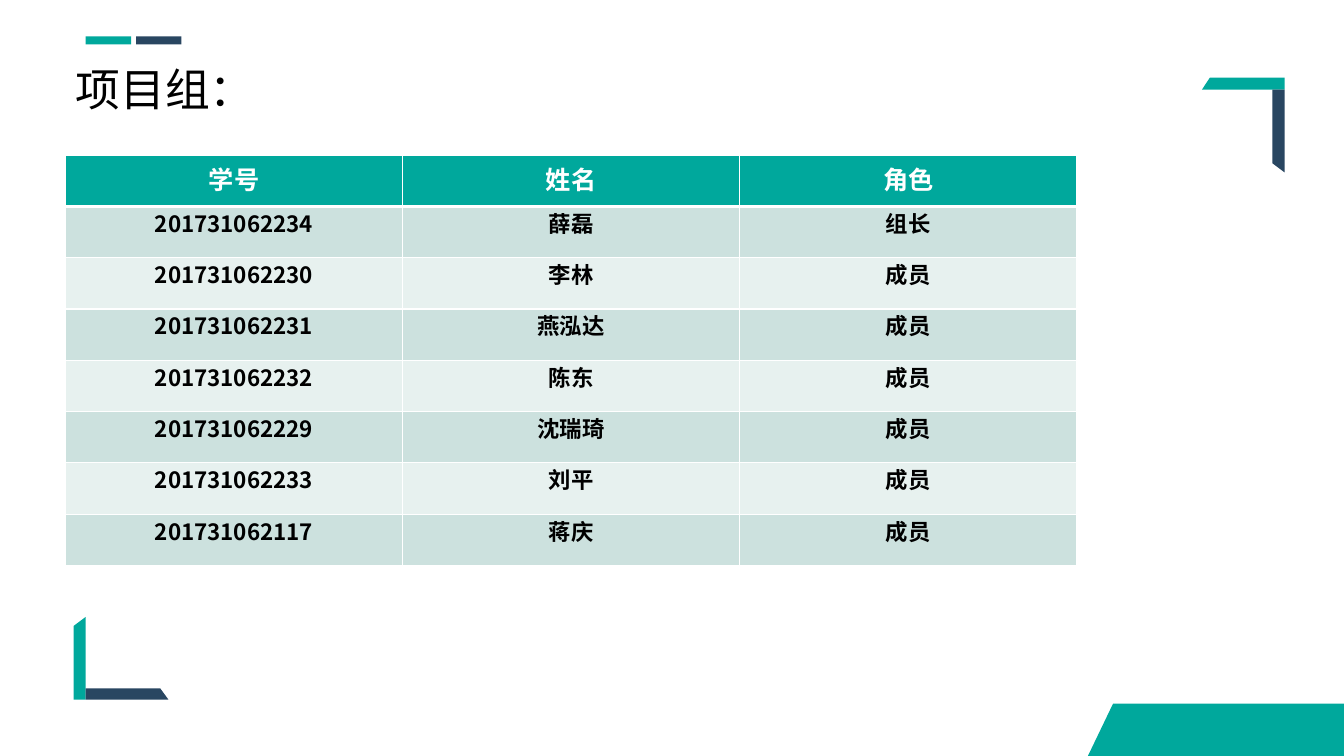
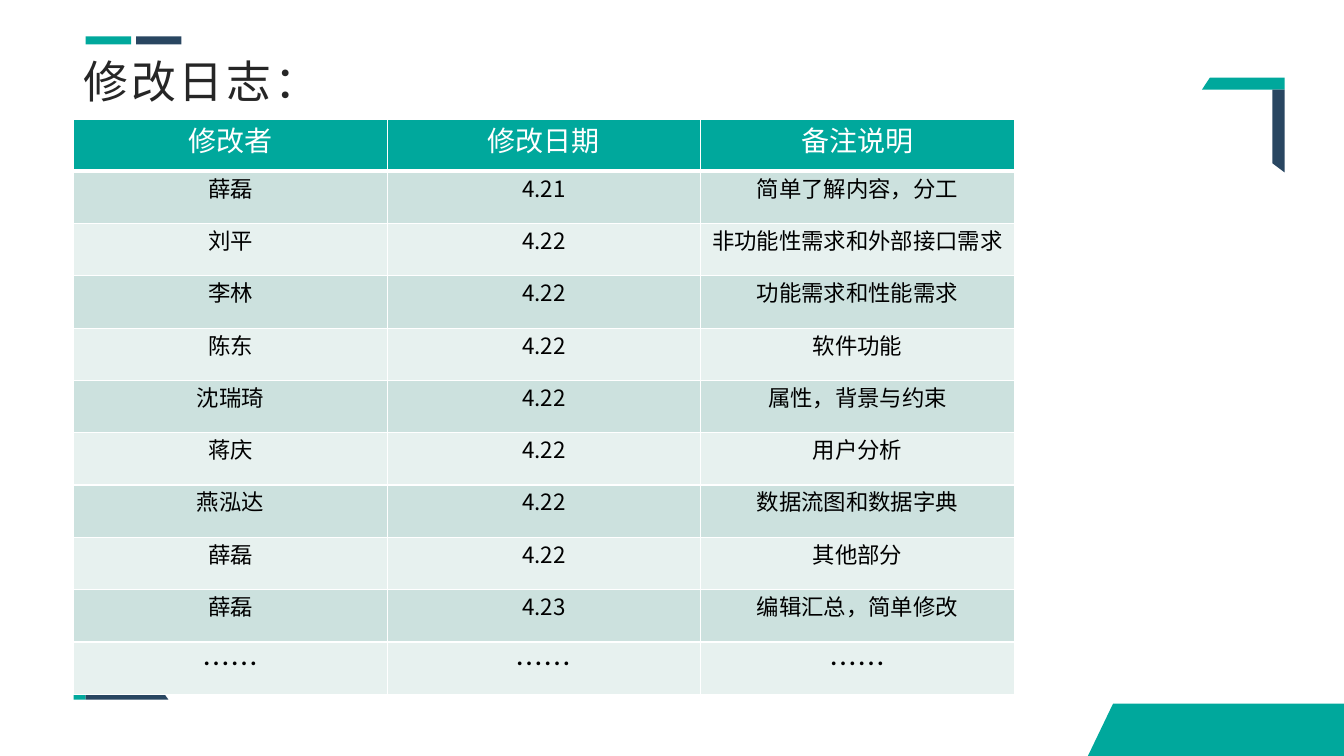
from dataclasses import dataclass

from lxml import etree
from pptx import Presentation
from pptx.dml.color import RGBColor
from pptx.enum.shapes import MSO_SHAPE
from pptx.enum.text import MSO_ANCHOR, PP_ALIGN
from pptx.oxml.ns import qn
from pptx.util import Inches, Pt

RECT = MSO_SHAPE.RECTANGLE
TOP, MIDDLE = MSO_ANCHOR.TOP, MSO_ANCHOR.MIDDLE
LEFT, CENTER = PP_ALIGN.LEFT, PP_ALIGN.CENTER


@dataclass(frozen=True)
class Theme:
    teal: str = "00A89C"
    navy: str = "294661"
    white: str = "FFFFFF"
    black: str = "000000"
    ink: str = "262626"
    bands: tuple[str, str] = ("CCE1DE", "E7F1EF")
    latin: str = "Arial"
    cjk: str = "Noto Sans CJK SC"
    title: int = 32
    body: int = 16
    dots: int = 20
    rule: int = 1
    thick: int = 3


@dataclass(frozen=True)
class Mark:
    color: str
    points: tuple[tuple[float, float], ...]


@dataclass(frozen=True)
class Style:
    size: int
    color: str
    font: str
    bold: bool = False
    gap: int = 0


@dataclass(frozen=True)
class Title:
    text: str
    box: tuple[float, float, float, float]
    color: str
    anchor: MSO_ANCHOR
    gap: int = 0


@dataclass(frozen=True)
class Grid:
    box: tuple[float, float, float, float]
    rows: tuple[tuple[str, ...], ...]
    head: int
    pad: float
    bold: bool


@dataclass(frozen=True)
class Page:
    title: Title
    grid: Grid


THEME = Theme()

# Shared corner marks and footer
MARKS = (
    Mark(THEME.teal, ((0.73, 6.94), (0.73, 6.21), (0.85, 6.12), (0.85, 6.94))),
    Mark(THEME.navy, ((0.85, 6.83), (1.59, 6.83), (1.67, 6.94), (0.85, 6.94))),
    Mark(THEME.teal, ((13.33, 6.98), (11.04, 6.98), (10.79, 7.5), (13.33, 7.5))),
    Mark(THEME.teal, ((12.74, 0.77), (12, 0.77), (11.92, 0.89), (12.74, 0.89))),
    Mark(THEME.navy, ((12.62, 0.89), (12.62, 1.62), (12.74, 1.71), (12.74, 0.89))),
)
BARS = ((0.85, THEME.teal), (1.35, THEME.navy))

# Page content
PAGES = (
    Page(
        Title("项目组：", (0.65, 0.56, 3.06, 0.64), THEME.black, MIDDLE),
        Grid((0.65, 1.54, 10.03, 4.07), (
            ("学号", "姓名", "角色"),
            ("201731062234", "薛磊", "组长"),
            ("201731062230", "李林", "成员"),
            ("201731062231", "燕泓达", "成员"),
            ("201731062232", "陈东", "成员"),
            ("201731062229", "沈瑞琦", "成员"),
            ("201731062233", "刘平", "成员"),
            ("201731062117", "蒋庆", "成员"),
        ), head=18, pad=0.05, bold=True),
    ),
    Page(
        Title("修改日志：", (0.73, 0.48, 11.87, 0.48), THEME.ink, TOP, gap=2),
        Grid((0.73, 1.18, 9.33, 5.71), (
            ("修改者", "修改日期", "备注说明"),
            ("薛磊", "4.21", "简单了解内容，分工"),
            ("刘平", "4.22", "非功能性需求和外部接口需求"),
            ("李林", "4.22", "功能需求和性能需求"),
            ("陈东", "4.22", "软件功能"),
            ("沈瑞琦", "4.22", "属性，背景与约束"),
            ("蒋庆", "4.22", "用户分析"),
            ("燕泓达", "4.22", "数据流图和数据字典"),
            ("薛磊", "4.22", "其他部分"),
            ("薛磊", "4.23", "编辑汇总，简单修改"),
            ("……", "……", "……"),
        ), head=20, pad=0, bold=False),
    ),
)


def paint(shape, color: str) -> None:
    shape.shadow.inherit = False
    shape.fill.solid()
    shape.fill.fore_color.rgb = RGBColor.from_string(color)
    shape.line.fill.background()


def write(frame, text: str, style: Style, align: PP_ALIGN) -> None:
    para = frame.paragraphs[0]
    para.alignment = align
    run = para.add_run()
    run.text = text
    font = run.font
    font.size, font.bold, font.name = Pt(style.size), style.bold, style.font
    font.color.rgb = RGBColor.from_string(style.color)
    props = run._r.get_or_add_rPr()
    etree.SubElement(props, qn("a:ea"), typeface=THEME.cjk)
    if style.gap:
        props.set("spc", str(style.gap * 100))


def edge(cell, sides: dict[str, int]) -> None:
    """Put white borders ahead of the cell fill."""
    props = cell._tc.get_or_add_tcPr()
    for spot, (side, width) in enumerate(sides.items()):
        line = etree.Element(qn(f"a:ln{side}"), w=str(Pt(width)))
        fill = etree.SubElement(line, qn("a:solidFill"))
        etree.SubElement(fill, qn("a:srgbClr"), val=THEME.white)
        props.insert(spot, line)


def add_marks(slide) -> None:
    for mark in MARKS:
        first, *rest = [(Inches(x), Inches(y)) for x, y in mark.points]
        pen = slide.shapes.build_freeform(*first, scale=1.0)
        pen.add_line_segments(rest, close=True)
        paint(pen.convert_to_shape(), mark.color)
    for left, color in BARS:
        box = map(Inches, (left, 0.36, 0.45, 0.08))
        paint(slide.shapes.add_shape(RECT, *box), color)


def add_title(slide, title: Title) -> None:
    frame = slide.shapes.add_textbox(*map(Inches, title.box)).text_frame
    frame.word_wrap = True
    frame.vertical_anchor = title.anchor
    style = Style(THEME.title, title.color, THEME.latin, gap=title.gap)
    write(frame, title.text, style, LEFT)


def add_grid(slide, grid: Grid) -> None:
    rows, cols = len(grid.rows), len(grid.rows[0])
    left, top, width, height = map(Inches, grid.box)
    table = slide.shapes.add_table(rows, cols, left, top, width, height).table
    for col in table.columns:
        col.width = width // cols
    for i, texts in enumerate(grid.rows):
        table.rows[i].height = height // rows
        head = i == 0
        back = THEME.teal if head else THEME.bands[(i - 1) % 2]
        color = THEME.white if head else THEME.black
        for j, text in enumerate(texts):
            cell = table.cell(i, j)
            cell.vertical_anchor = TOP
            side = 0.1 if head and grid.pad else 0.07
            cell.margin_left = cell.margin_right = Inches(side)
            cell.margin_top = cell.margin_bottom = Inches(grid.pad if head else 0)
            cell.fill.solid()
            cell.fill.fore_color.rgb = RGBColor.from_string(back)
            edge(cell, {
                "L": THEME.rule,
                "R": THEME.rule,
                "T": THEME.thick if i == 1 else THEME.rule,
                "B": THEME.thick if head else THEME.rule,
            })
            size = grid.head if head else THEME.dots if text == "……" else THEME.body
            style = Style(size, color, THEME.cjk, grid.bold)
            write(cell.text_frame, text, style, CENTER)


def main() -> None:
    deck = Presentation()
    deck.slide_width, deck.slide_height = Inches(13.33), Inches(7.5)
    blank = deck.slide_layouts[6]
    for page in PAGES:
        slide = deck.slides.add_slide(blank)
        add_marks(slide)
        add_title(slide, page.title)
        add_grid(slide, page.grid)
    deck.save("out.pptx")


if __name__ == "__main__":
    main()
